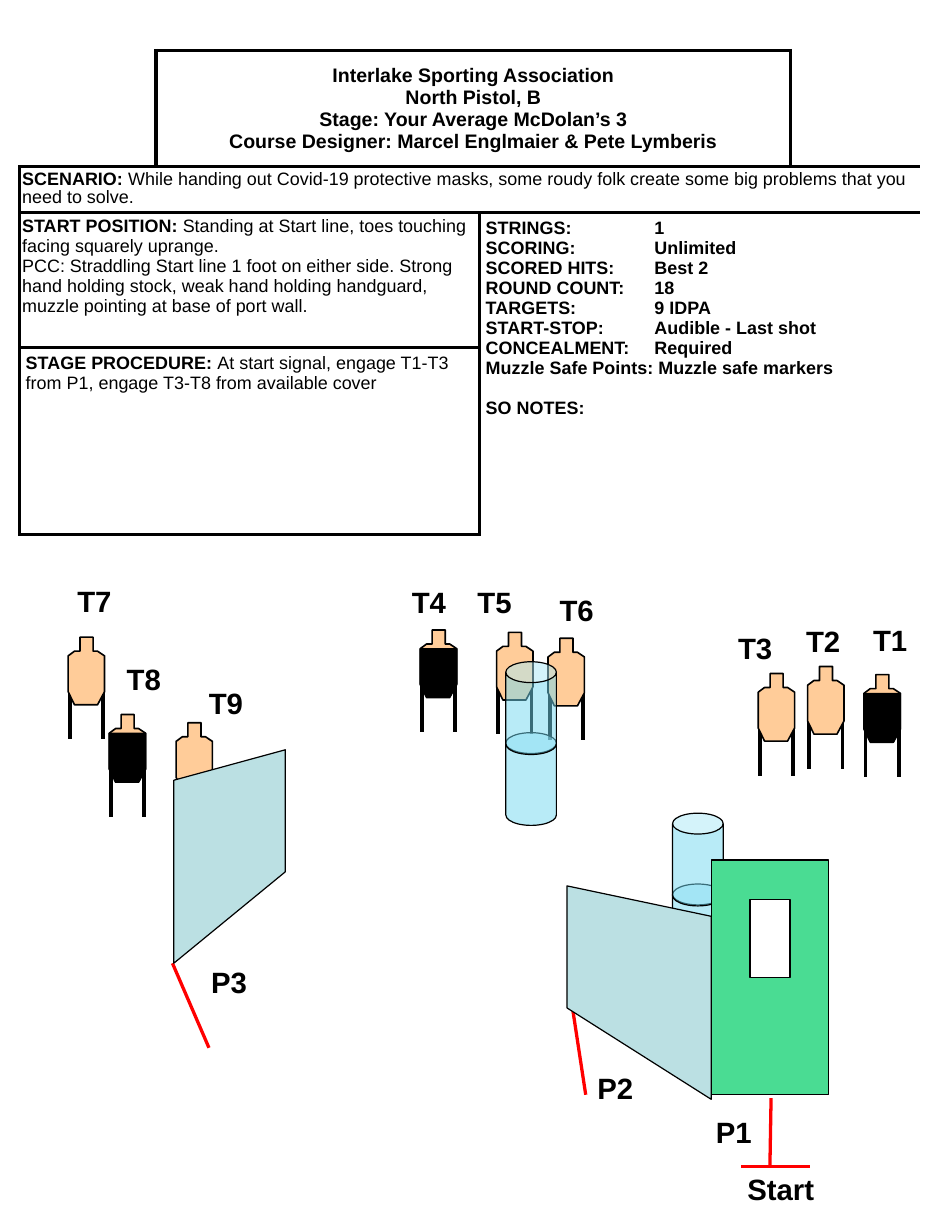
from dataclasses import dataclass

from lxml.etree import SubElement
from pptx import Presentation
from pptx.dml.color import RGBColor
from pptx.enum.shapes import MSO_CONNECTOR as Connector, MSO_SHAPE as Preset
from pptx.enum.text import MSO_ANCHOR as Anchor, PP_ALIGN as Align
from pptx.oxml.ns import qn
from pptx.util import Pt


@dataclass(frozen=True)
class Theme:
    font: str = "Arial"
    title_size: float = 12
    body_size: float = 11
    label_size: float = 18
    black: str = "000000"
    white: str = "FFFFFF"
    red: str = "FF0000"
    target: str = "FFCC99"
    wall: str = "BBE0E3"
    port_wall: str = "4ADC93"
    barrel: str = "73D9F1"
    heavy: float = 2.25
    mark: float = 2


THEME = Theme()

# Table regions: one letter per merged area, a dot where there is no box
REGIONS = [".TT.", "CCCC", "PPSS", "RRSS"]
COLUMNS = [83.5, 198.7, 190.8, 79.2]
ROWS = [71.3, 28.2, 82.8, 114.5]

# Target outline and the black hard cover, relative to the target's corner
OUTLINE = [(7.3, 0), (15.3, 0), (15.3, 8.6), (18, 8.6), (22.3, 11.5), (22.3, 33.5),
           (18, 41.5), (3.9, 41.5), (0, 33.5), (0, 11.5), (3.9, 8.6), (7.3, 8.6)]
COVER = [(0, 11.5), (22.5, 11.5), (22.5, 33.2), (18, 41.3), (4.2, 41.3), (0, 33.2)]
LEGS = [1, 21.4]

LABELS = {
    "T1": (528.5, 378), "T2": (487.4, 378.7), "T3": (445.7, 383), "T4": (245.5, 355),
    "T5": (285.8, 355), "T6": (336.2, 360), "T7": (40.3, 354.2), "T8": (70.6, 402.5),
    "T9": (121, 416.9), "P1": (432, 680.4), "P2": (359.3, 653), "P3": (122.4, 588.2),
    "Start": (451.4, 715),
}


def color(value):
    return RGBColor.from_string(value)


def add_run(paragraph, text, size, bold):
    run = paragraph.add_run()
    run.text = text
    run.font.name, run.font.size, run.font.bold = THEME.font, Pt(size), bold
    run.font.color.rgb = color(THEME.black)


def style_shape(shape, fill, width):
    shape.shadow.inherit = False
    shape.fill.solid()
    shape.fill.fore_color.rgb = color(fill)
    shape.line.color.rgb = color(THEME.black)
    shape.line.width = Pt(width)


def add_outline(shapes, contours, fill, width):
    corners = [[(Pt(x), Pt(y)) for x, y in contour] for contour in contours]
    builder = shapes.build_freeform(*corners[0][0])
    for index, contour in enumerate(corners):
        if index:
            builder.move_to(*contour[0])
        builder.add_line_segments(contour[1:], close=True)
    style_shape(builder.convert_to_shape(), fill, width)


def add_line(shapes, start, end, line_color, width):
    line = shapes.add_connector(Connector.STRAIGHT, *(Pt(v) for v in (*start, *end)))
    line.line.color.rgb = color(line_color)
    line.line.width = Pt(width)
    SubElement(line._element.spPr, qn("a:effectLst"))


def add_target(slide, left, top, covered=False):
    shapes = slide.shapes.add_group_shape().shapes
    for x in LEGS:
        add_line(shapes, (left + x, top + 31), (left + x, top + 62.6), THEME.black, THEME.heavy)

    def place(points):
        return [[(left + x, top + y) for x, y in points]]

    add_outline(shapes, place(OUTLINE), THEME.target, 1)
    if covered:
        add_outline(shapes, place(COVER), THEME.black, 0)


def add_barrels(slide, left, top):
    """Two stacked barrels, the lower one behind the upper one."""
    shapes = slide.shapes.add_group_shape().shapes
    for y in (top + 43.5, top):
        barrel = shapes.add_shape(Preset.CAN, Pt(left), Pt(y), Pt(31), Pt(56.9))
        barrel.adjustments[0] = 0.413
        style_shape(barrel, THEME.barrel, 0.75)
        fill = barrel._element.spPr.find(qn("a:solidFill"))
        SubElement(fill[0], qn("a:alpha"), val="50000")


def add_label(slide, text, left, top):
    width = 67.7 if text == "Start" else 41.8
    box = slide.shapes.add_textbox(Pt(left), Pt(top), Pt(width), Pt(28.8))
    box.text_frame.word_wrap = True
    add_run(box.text_frame.paragraphs[0], text, THEME.label_size, True)


def region_at(row, column):
    inside = 0 <= row < len(ROWS) and 0 <= column < len(COLUMNS)
    return REGIONS[row][column] if inside else "."


def style_cell(cell, row, column):
    """Rule a side wherever the neighbouring region is another one."""
    properties = cell._tc.get_or_add_tcPr()
    sides = {"L": (0, -1), "R": (0, 1), "T": (-1, 0), "B": (1, 0)}
    for side, (down, right) in sides.items():
        border = SubElement(properties, qn(f"a:ln{side}"), w=str(Pt(THEME.heavy)))
        if region_at(row, column) != region_at(row + down, column + right):
            fill = SubElement(border, qn("a:solidFill"))
            SubElement(fill, qn("a:srgbClr"), val=THEME.black)
        else:
            SubElement(border, qn("a:noFill"))
    cell.fill.solid()
    cell.fill.fore_color.rgb = color(THEME.white)


def write_cell(cell, paragraphs, horizontal=3.6, vertical=3.6, size=THEME.body_size):
    """Each paragraph is a list of (text, bold) runs."""
    cell.margin_left = cell.margin_right = Pt(horizontal)
    cell.margin_top = cell.margin_bottom = Pt(vertical)
    frame = cell.text_frame
    for index, runs in enumerate(paragraphs):
        paragraph = frame.add_paragraph() if index else frame.paragraphs[0]
        for text, bold in runs:
            add_run(paragraph, text, size, bold)
    return frame.paragraphs


def add_stage_table(slide):
    frame = slide.shapes.add_table(len(ROWS), len(COLUMNS), Pt(12.2), Pt(31),
                                   Pt(sum(COLUMNS)), Pt(sum(ROWS)))
    table = frame.table
    table.first_row = table.horz_banding = False
    for column, width in zip(table.columns, COLUMNS):
        column.width = Pt(width)
    for row, height in zip(table.rows, ROWS):
        row.height = Pt(height)

    # Borders and merged areas
    areas = {}
    for row, letters in enumerate(REGIONS):
        for column, letter in enumerate(letters):
            style_cell(table.cell(row, column), row, column)
            areas.setdefault(letter, []).append(table.cell(row, column))
    for letter in "TCPSR":
        areas[letter][0].merge(areas[letter][-1])
    title, scenario, position, scoring, procedure = (areas[letter][0] for letter in "TCPSR")

    # Title
    title.vertical_anchor = Anchor.MIDDLE
    for paragraph in write_cell(title, [[(line, True)] for line in (
            "Interlake Sporting Association", "North Pistol, B",
            "Stage: Your Average McDolan’s 3",
            "Course Designer: Marcel Englmaier & Pete Lymberis")], size=THEME.title_size):
        paragraph.alignment = Align.CENTER

    # Stage description
    write_cell(scenario, [[("SCENARIO: ", True), (
        "While handing out Covid-19 protective masks, some roudy folk create some big "
        "problems that you need to solve.", False)]], 1.4, 2.9)[0].line_spacing = 0.9
    write_cell(position, [
        [("START POSITION: ", True),
         ("Standing at Start line, toes touching facing squarely uprange.", False)],
        [("PCC: Straddling Start line 1 foot on either side. Strong hand holding stock, "
          "weak hand holding handguard, muzzle pointing at base of port wall.", False)],
    ], 1.4, 2.2)
    write_cell(procedure, [[("STAGE PROCEDURE: ", True), (
        "At start signal, engage T1-T3 from P1, engage T3-T8 from available cover", False)]])

    # Scoring facts, values lined up on a tab stop
    facts = ["STRINGS:\t1", "SCORING:\tUnlimited", "SCORED HITS:\tBest 2", "ROUND COUNT:\t18",
             "TARGETS:\t9 IDPA", "START-STOP:\tAudible - Last shot", "CONCEALMENT:\tRequired",
             "Muzzle Safe Points: Muzzle safe markers", "SO NOTES:"]
    lines = write_cell(scoring, [[(fact, True)] for fact in facts])
    for paragraph, fact in zip(lines, facts):
        if "\t" in fact:
            tabs = SubElement(paragraph._p.get_or_add_pPr(), qn("a:tabLst"))
            SubElement(tabs, qn("a:tab"), pos=str(Pt(103.5)), algn="l")
    lines[-1].space_before = Pt(12.3)


def main():
    presentation = Presentation()
    presentation.slide_width, presentation.slide_height = Pt(576), Pt(756)
    slide = presentation.slides.add_slide(presentation.slide_layouts[6])
    shapes = slide.shapes

    add_barrels(slide, 412.6, 499)
    add_stage_table(slide)

    # Port wall with window, and P2 wall
    add_line(shapes, (359.3, 671.8), (351.4, 619.9), THEME.red, THEME.mark)
    add_outline(shapes, [
        [(436.3, 527.8), (508.3, 527.8), (508.3, 671.8), (436.3, 671.8)],
        [(460.1, 552.2), (484.6, 552.2), (484.6, 599.8), (460.1, 599.8)],
    ], THEME.port_wall, 0)
    add_outline(shapes, [[(347.8, 618.5), (436.3, 674.6), (436.3, 562.3), (347.8, 543.6)]],
                THEME.wall, 0.75)

    # Targets T6, T3, T5, T9, T7, T2, then the covered T1, T4, T8
    for left, top in [(336.2, 391.7), (465.1, 413.3), (304.6, 388.1),
                      (108, 443.5), (41.8, 391), (495.4, 409)]:
        add_target(slide, left, top)
    for left, top in [(530, 414), (257.8, 386.6), (67, 438.5)]:
        add_target(slide, left, top, covered=True)

    # P3 wall and front barrels
    add_line(shapes, (128.2, 643), (105.8, 591.1), THEME.red, THEME.mark)
    add_outline(shapes, [[(175, 535), (106.6, 591.1), (106.6, 478.8), (175, 460.1)]],
                THEME.wall, 0.75)
    add_barrels(slide, 310.3, 406.1)

    # Start line and labels
    add_line(shapes, (496.8, 715.7), (454.3, 715.7), THEME.red, THEME.mark)
    add_line(shapes, (473, 673.9), (472.3, 715.7), THEME.red, THEME.mark)
    for text, (left, top) in LABELS.items():
        add_label(slide, text, left, top)

    presentation.save("out.pptx")


if __name__ == "__main__":
    main()
